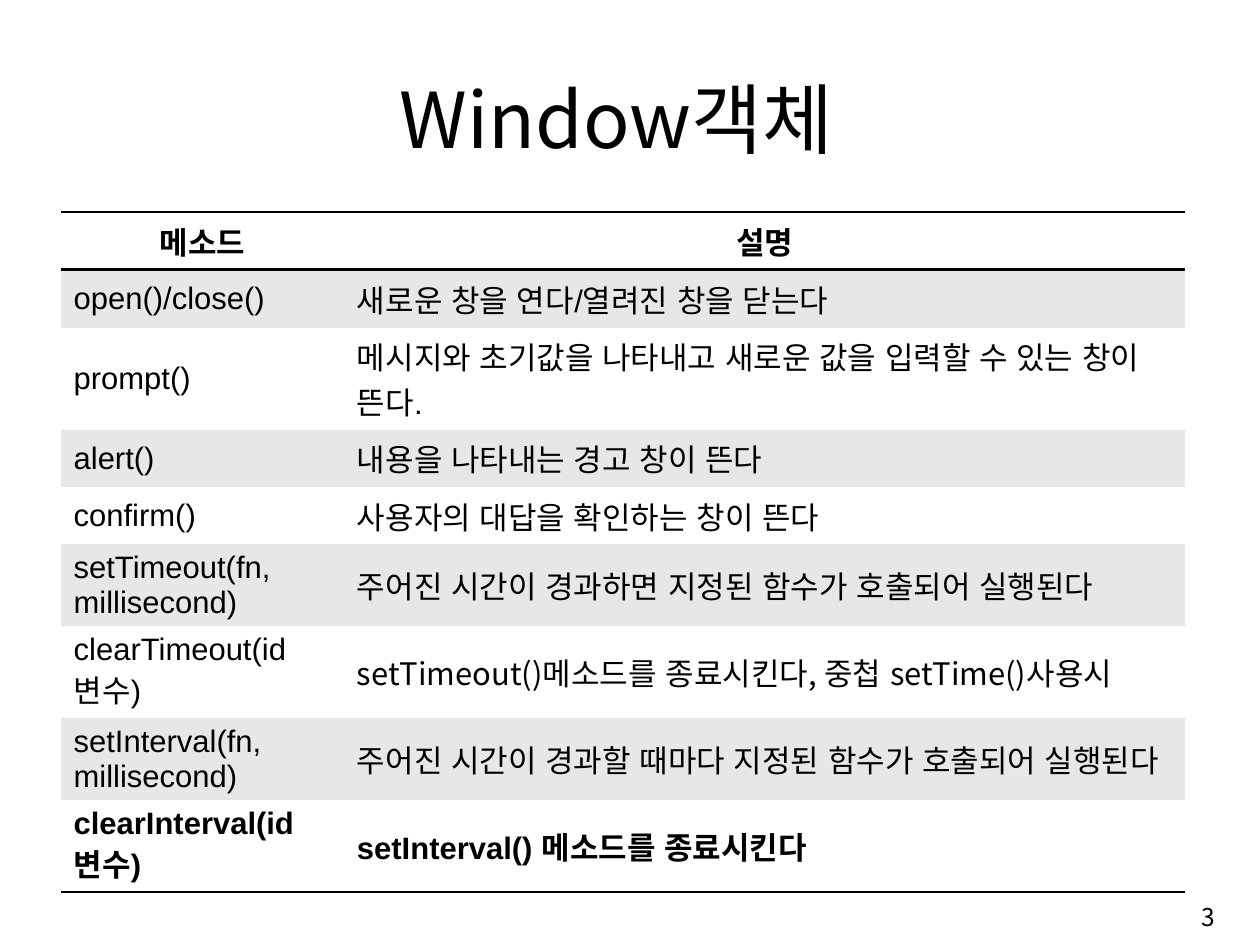
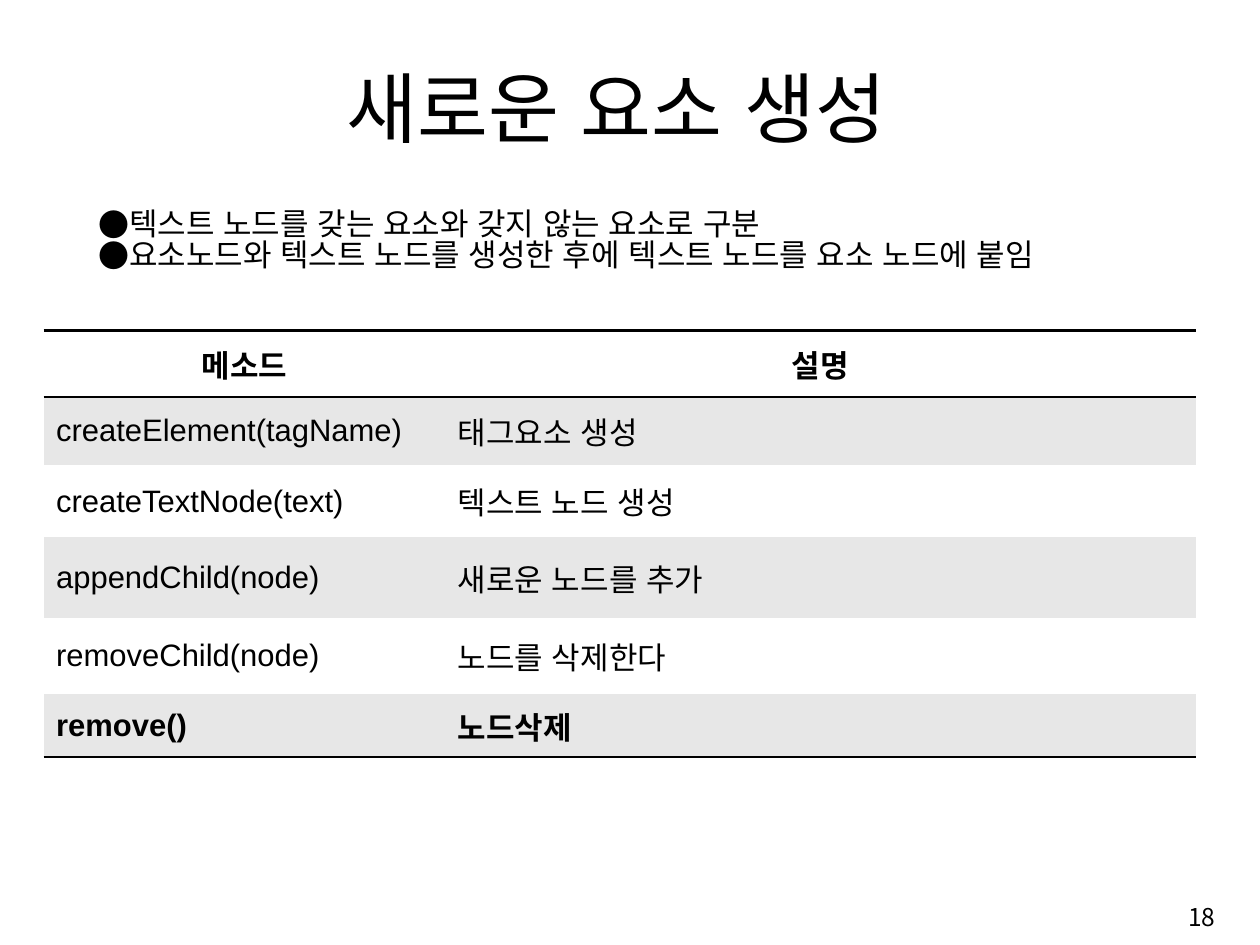
from lxml import etree
from pptx import Presentation
from pptx.dml.color import RGBColor
from pptx.enum.lang import MSO_LANGUAGE_ID
from pptx.enum.text import MSO_ANCHOR, MSO_AUTO_SIZE, PP_ALIGN
from pptx.oxml.ns import qn
from pptx.util import Cm, Pt

BLACK = RGBColor(0x00, 0x00, 0x00)
WHITE = RGBColor(0xFF, 0xFF, 0xFF)
BAND_GRAY = RGBColor(0xE7, 0xE7, 0xE7)
KOREAN_FONT = "Noto Sans CJK KR"
LATIN_FONT = "Arial"
KOREAN = MSO_LANGUAGE_ID.KOREAN
TITLE_SIZE, BODY_SIZE, NUMBER_SIZE = 57.2, 23, 18.2
LEFT, CENTER, RIGHT = PP_ALIGN.LEFT, PP_ALIGN.CENTER, PP_ALIGN.RIGHT
MIDDLE, BOTTOM = MSO_ANCHOR.MIDDLE, MSO_ANCHOR.BOTTOM
NO_AUTOFIT = MSO_AUTO_SIZE.NONE
TITLE_ONLY = 5
INSET_X, INSET_Y = Cm(0.33), Cm(0.16)
RULE_WIDTH = Pt(2)
BULLET_INDENT = Cm(0.66)

HEADER = ("메소드", "설명")
WINDOW_METHODS = [
    ("open()/close()", "새로운 창을 연다/열려진 창을 닫는다"),
    ("prompt()", "메시지와 초기값을 나타내고 새로운 값을 입력할 수 있는 창이 뜬다."),
    ("alert()", "내용을 나타내는 경고 창이 뜬다"),
    ("confirm()", "사용자의 대답을 확인하는 창이 뜬다"),
    ("setTimeout(fn, millisecond)", "주어진 시간이 경과하면 지정된 함수가 호출되어 실행된다"),
    ("clearTimeout(id변수)", "setTimeout()메소드를 종료시킨다, 중첩 setTime()사용시"),
    ("setInterval(fn, millisecond)", "주어진 시간이 경과할 때마다 지정된 함수가 호출되어 실행된다"),
    ("clearInterval(id변수)", "setInterval() 메소드를 종료시킨다"),
]
NODE_METHODS = [
    ("createElement(tagName)", "태그요소 생성"),
    ("createTextNode(text)", "텍스트 노드 생성"),
    ("appendChild(node)", "새로운 노드를 추가"),
    ("removeChild(node)", "노드를 삭제한다"),
    ("remove()", "노드삭제"),
]
NODE_NOTES = [
    "텍스트 노드를 갖는 요소와 갖지 않는 요소로 구분",
    "요소노드와 텍스트 노드를 생성한 후에 텍스트 노드를 요소 노드에 붙임",
]


def write(paragraph, text, size=BODY_SIZE, font=KOREAN_FONT, bold=False,
          align=LEFT, spacing=1.0):
    paragraph.alignment = align
    paragraph.line_spacing = spacing
    paragraph.space_before = paragraph.space_after = Pt(0)
    run = paragraph.add_run()
    run.text = text
    run.font.size = Pt(size)
    run.font.name = font
    run.font.bold = bold
    run.font.color.rgb = BLACK
    run.font.language_id = KOREAN
    latin = run.font._element.find(qn("a:latin"))
    east_asian = etree.Element(qn("a:ea"), typeface=KOREAN_FONT)
    latin.addnext(east_asian)


def set_frame(frame, anchor, inset_y=INSET_Y):
    frame.word_wrap = True
    frame.auto_size = NO_AUTOFIT
    frame.vertical_anchor = anchor
    frame.margin_left = frame.margin_right = INSET_X
    frame.margin_top = frame.margin_bottom = inset_y


def add_text_box(slide, left, top, width, height, anchor):
    frame = slide.shapes.add_textbox(left, top, width, height).text_frame
    set_frame(frame, anchor)
    return frame


def add_titled_slide(presentation, title, title_height, number):
    slide = presentation.slides.add_slide(presentation.slide_layouts[TITLE_ONLY])
    shape = slide.shapes.title
    shape.left, shape.top = Cm(2.67), Cm(1.55)
    shape.width, shape.height = Cm(26.95), title_height
    set_frame(shape.text_frame, BOTTOM, inset_y=0)
    write(shape.text_frame.paragraphs[0], title, size=TITLE_SIZE,
          align=CENTER, spacing=0.8)
    frame = add_text_box(slide, Cm(25.35), Cm(23.24), Cm(6.81), Cm(1.52), MIDDLE)
    write(frame.paragraphs[0], number, size=NUMBER_SIZE, align=RIGHT)
    return slide


def set_borders(cell, ruled_sides):
    """Draw black rules on the given sides and clear the other ones."""
    properties = cell._tc.get_or_add_tcPr()
    for position, side in enumerate(("L", "R", "T", "B")):
        line = etree.Element(qn("a:ln" + side))
        if side in ruled_sides:
            line.set("w", str(RULE_WIDTH))
            fill = etree.SubElement(line, qn("a:solidFill"))
            etree.SubElement(fill, qn("a:srgbClr"), val=str(BLACK))
        else:
            line.set("w", "0")
            etree.SubElement(line, qn("a:noFill"))
        properties.insert(position, line)


def add_method_table(slide, left, top, height, column_widths, row_heights,
                     methods, korean_font_cells=()):
    rows = [HEADER, *methods]
    last = len(rows) - 1
    table = slide.shapes.add_table(len(rows), len(HEADER), left, top,
                                   Cm(sum(column_widths)), height).table
    for column, width in zip(table.columns, column_widths):
        column.width = Cm(width)
    for row, row_height in zip(table.rows, row_heights):
        row.height = Cm(row_height)
    for row_index, texts in enumerate(rows):
        is_header = row_index == 0
        ruled_sides = ("T" if row_index <= 1 else "") + ("B" if row_index in (0, last) else "")
        for column_index, text in enumerate(texts):
            cell = table.cell(row_index, column_index)
            cell.fill.solid()
            cell.fill.fore_color.rgb = BAND_GRAY if row_index % 2 else WHITE
            cell.vertical_anchor = MIDDLE
            cell.margin_left = cell.margin_right = INSET_X
            cell.margin_top = cell.margin_bottom = INSET_Y
            set_borders(cell, ruled_sides)
            uses_korean_font = is_header or (row_index, column_index) in korean_font_cells
            write(cell.text_frame.paragraphs[0], text,
                  font=KOREAN_FONT if uses_korean_font else LATIN_FONT,
                  bold=row_index in (0, last),
                  align=CENTER if is_header else LEFT)


def add_bullets(slide, left, top, width, height, lines):
    frame = add_text_box(slide, left, top, width, height, BOTTOM)
    for index, text in enumerate(lines):
        paragraph = frame.add_paragraph() if index else frame.paragraphs[0]
        write(paragraph, text, spacing=0.82)
        properties = paragraph._p.get_or_add_pPr()
        properties.set("marL", str(BULLET_INDENT))
        properties.set("indent", str(-BULLET_INDENT))
        etree.SubElement(properties, qn("a:buFont"), typeface=KOREAN_FONT)
        etree.SubElement(properties, qn("a:buChar"), char="●")


def main():
    presentation = Presentation()
    presentation.slide_width, presentation.slide_height = Cm(33), Cm(24.75)

    window_slide = add_titled_slide(presentation, "Window객체", Cm(2.74), "3")
    add_method_table(window_slide, Cm(1.6), Cm(5.56), Cm(17.35), (7.42, 22.02),
                     (1.47, 1.52, 1.42, 1.45, 1.5, 1.93, 2.06, 1.93, 1.93),
                     WINDOW_METHODS, korean_font_cells=[(6, 1)])

    node_slide = add_titled_slide(presentation, "새로운 요소 생성", Cm(2.44), "18")
    add_method_table(node_slide, Cm(1.14), Cm(8.66), Cm(11.15), (10.52, 19.66),
                     (1.73, 1.8, 1.88, 2.11, 2.01, 1.63), NODE_METHODS)
    add_bullets(node_slide, Cm(2.24), Cm(4.55), Cm(28.02), Cm(2.74), NODE_NOTES)

    presentation.save("out.pptx")


if __name__ == "__main__":
    main()
